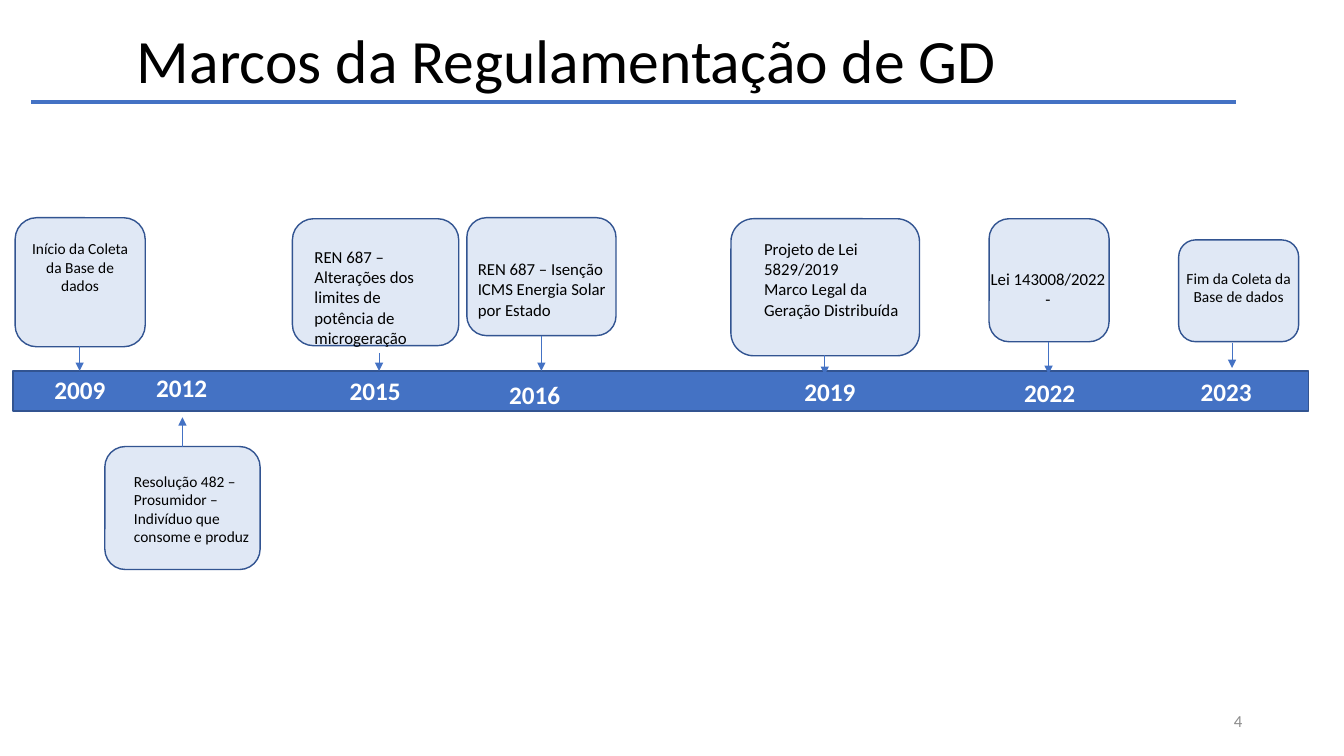
import pptx
import pptx.util
import pptx.dml.color
import pptx.enum.shapes
import pptx.enum.text
import pptx.oxml
import pptx.oxml.ns
import lxml.etree

PX = 9144  # 100 px to the inch
COLORS = {"blue": "4472C4", "edge": "325491", "black": "000000",
          "white": "FFFFFF", "gray": "8C8C8C"}
SHAPE = pptx.enum.shapes.MSO_SHAPE
ALIGN = pptx.enum.text.PP_ALIGN
ANCHOR = pptx.enum.text.MSO_ANCHOR
LEFT, CENTER, RIGHT = ALIGN.LEFT, ALIGN.CENTER, ALIGN.RIGHT
qn = pptx.oxml.ns.qn

prs = pptx.Presentation()
prs.slide_width, prs.slide_height = 1333 * PX, 750 * PX
slide = prs.slides.add_slide(prs.slide_layouts[6])


def color(name):
    return pptx.dml.color.RGBColor.from_string(COLORS[name])


def write(s, text, size, name="black", align=LEFT, anchor=ANCHOR.TOP, bold=False):
    tf = s.text_frame
    tf.word_wrap = True
    tf.vertical_anchor = anchor
    tf.text = text
    for p in tf.paragraphs:
        p.alignment = align
        for r in p.runs:
            r.font.name = "Calibri"
            r.font.size = pptx.util.Pt(size)
            r.font.bold = bold
            r.font.color.rgb = color(name)


# Cards and the timeline bar, from back to front
panels = [
    (SHAPE.ROUNDED_RECTANGLE, 463, 216, 148, 117),
    (SHAPE.ROUNDED_RECTANGLE, 104, 443, 154, 122),
    (SHAPE.ROUNDED_RECTANGLE, 981, 217, 119, 122),
    (SHAPE.ROUNDED_RECTANGLE, 725, 217, 187, 136),
    (SHAPE.ROUNDED_RECTANGLE, 290, 217, 165, 126),
    (SHAPE.ROUNDED_RECTANGLE, 1169, 238, 119, 101),
    (SHAPE.ROUNDED_RECTANGLE, 15, 216, 129, 128),
    (SHAPE.RECTANGLE, 13, 368, 1285, 40),
]
cards = []
for kind, *box in panels:
    s = slide.shapes.add_shape(kind, *[v * PX for v in box])
    s.shadow.inherit = False
    s.fill.solid()
    s.fill.fore_color.rgb = color("blue")
    s.line.color.rgb = color("edge")
    s.line.width = pptx.util.Pt(1)
    if kind == SHAPE.ROUNDED_RECTANGLE:
        cards.append(s)
        fill = s.fill._xPr.find(qn("a:solidFill"))
        lxml.etree.SubElement(fill[0], qn("a:alpha"), val="16000")

# The first milestone is written inside its own card
start = cards[-1]
write(start, "Início da Coleta da Base de dados", 11, align=CENTER, anchor=ANCHOR.MIDDLE)
start.text_frame.margin_bottom = 35 * PX

# Milestone descriptions: left, top, width, height, size, alignment, text
notes = [
    (123, 463, 139, 84, 11, LEFT,
     "Resolução 482 – Prosumidor – Indivíduo que consome e produz"),
    (302, 240, 148, 110, 12, LEFT,
     "REN 687 – Alterações dos limites de potência de microgeração"),
    (464, 252, 148, 70, 12, LEFT, "REN 687 – Isenção ICMS Energia Solar por Estado"),
    (748, 232, 167, 91, 12, LEFT,
     "Projeto de Lei 5829/2019\nMarco Legal da Geração Distribuída"),
    (971, 262, 137, 50, 12, CENTER, "Lei 143008/2022 -"),
    (1159, 262, 139, 47, 11, CENTER, "Fim da Coleta da Base de dados"),
]
for *box, size, align, text in notes:
    s = slide.shapes.add_textbox(*[v * PX for v in box])
    write(s, text, size, align=align)

# Years on the bar: text, left, top
years = [("2009", 44, 366), ("2012", 145, 364), ("2015", 337, 367), ("2016", 495, 371),
         ("2019", 788, 368), ("2022", 1006, 369), ("2023", 1181, 368)]
for year, x, y in years:
    s = slide.shapes.add_textbox(x * PX, y * PX, 81 * PX, 40 * PX)
    write(s, year, 18, "white", bold=True)

# Title and slide number
title = slide.shapes.add_textbox(126 * PX, -9 * PX, 1150 * PX, 145 * PX)
write(title, "Marcos da Regulamentação de GD", 44, anchor=ANCHOR.MIDDLE)
title.text_frame.paragraphs[0].line_spacing = 0.9
number = slide.shapes.add_textbox(942 * PX, 695 * PX, 300 * PX, 40 * PX)
write(number, "4", 12, "gray", RIGHT, ANCHOR.MIDDLE)

# Title rule and milestone arrows: x1, y1, x2, y2, width, arrowhead
lines = [(31, 101, 1226, 101, 3, False)]
for x, y1, y2 in [(79, 343, 368), (181, 443, 414), (376, 350, 368), (537, 333, 368),
                  (818, 352, 372), (1040, 339, 371), (1222, 340, 365)]:
    lines.append((x, y1, x, y2, 0.5, True))
for *ends, width, arrow in lines:
    s = slide.shapes.add_connector(pptx.enum.shapes.MSO_CONNECTOR.STRAIGHT,
                                   *[v * PX for v in ends])
    s.line.color.rgb = color("blue")
    s.line.width = pptx.util.Pt(width)
    if arrow:
        lxml.etree.SubElement(s.line._get_or_add_ln(), qn("a:tailEnd"), type="triangle")
    lxml.etree.SubElement(s._element.spPr, qn("a:effectLst"))

prs.save("out.pptx")
